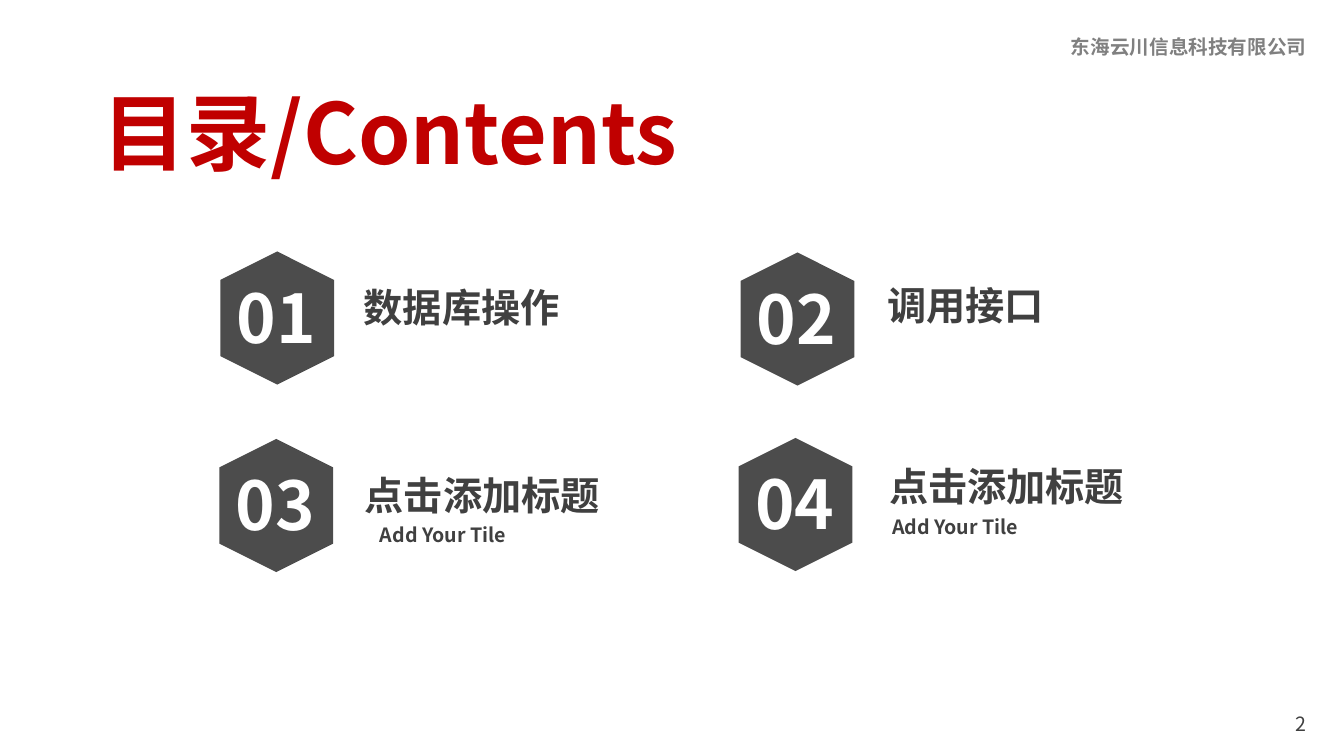
import pptx
import pptx.util
import pptx.dml.color
import pptx.enum.shapes
import pptx.enum.text
import pptx.oxml
import pptx.oxml.ns
from pptx.util import Inches

RED = pptx.dml.color.RGBColor(0xC0, 0x00, 0x00)
DARK = pptx.dml.color.RGBColor(0x40, 0x40, 0x40)
GRAY = pptx.dml.color.RGBColor(0x80, 0x80, 0x80)
BLACK = pptx.dml.color.RGBColor(0x00, 0x00, 0x00)
WHITE = pptx.dml.color.RGBColor(0xFF, 0xFF, 0xFF)
FONT = "Noto Sans CJK SC"
ALIGN = pptx.enum.text.PP_ALIGN
ANCHOR = pptx.enum.text.MSO_ANCHOR
AUTO_SIZE = pptx.enum.text.MSO_AUTO_SIZE


class ContentsPage:
    def __init__(self, deck):
        self.page = deck.slides.add_slide(deck.slide_layouts[6])

    def text(self, words, left, top, width, height, size, color,
             bold=True, align=ALIGN.LEFT, anchor=ANCHOR.TOP, wrap=False, grow=True):
        box = self.page.shapes.add_textbox(
            Inches(left), Inches(top), Inches(width), Inches(height))
        frame = box.text_frame
        frame.word_wrap = wrap
        frame.auto_size = AUTO_SIZE.SHAPE_TO_FIT_TEXT if grow else AUTO_SIZE.NONE
        frame.vertical_anchor = anchor
        para = frame.paragraphs[0]
        para.text = words
        para.alignment = align
        font = para.font
        font.name = FONT
        font.size = pptx.util.Pt(size)
        font.bold = bold
        font.color.rgb = color
        properties = para._p.pPr.find(pptx.oxml.ns.qn("a:defRPr"))
        east_asian = pptx.oxml.parse_xml(
            f'<a:ea {pptx.oxml.ns.nsdecls("a")} typeface="{FONT}"/>')
        properties.find(pptx.oxml.ns.qn("a:latin")).addnext(east_asian)

    def hexagon(self, left, top):
        shape = self.page.shapes.add_shape(
            pptx.enum.shapes.MSO_SHAPE.HEXAGON,
            Inches(left), Inches(top), Inches(1.32), Inches(1.13))
        shape.rotation = 270
        shape.shadow.inherit = False
        shape.line.fill.background()
        shape.fill.solid()
        shape.fill.fore_color.rgb = BLACK
        color = shape.fill._xPr.find(".//" + pptx.oxml.ns.qn("a:srgbClr"))
        color.append(pptx.oxml.parse_xml(
            f'<a:alpha {pptx.oxml.ns.nsdecls("a")} val="70000"/>'))

    def entry(self, number, badge, title, title_at, title_width, subtitle_at=None):
        left, top = badge
        self.hexagon(left, top)
        self.text(number, left + 0.16, top + 0.1, 1.36, 1.4, 48, WHITE)
        self.text(title, *title_at, title_width, 0.57, 28, DARK)
        if subtitle_at:
            self.text("Add Your Tile", *subtitle_at, 1.47, 0.34, 14, DARK)


deck = pptx.Presentation()
deck.slide_width = Inches(13.33)
deck.slide_height = Inches(7.5)

contents = ContentsPage(deck)
contents.text("东海云川信息科技有限公司", 10.5, 0.3, 2.56, 0.34, 14, GRAY, align=ALIGN.RIGHT)
contents.text("目录/Contents", 0.92, 0.75, 6.76, 1.11, 60, RED, wrap=True)

entries = [
    ("01", (2.09, 2.59), "数据库操作", (3.51, 2.76), 2.14),
    ("02", (7.25, 2.6), "调用接口", (8.7, 2.74), 1.76),
    ("03", (2.08, 4.45), "点击添加标题", (3.52, 4.63), 2.56, (3.67, 5.14)),
    ("04", (7.23, 4.44), "点击添加标题", (8.72, 4.54), 2.56, (8.75, 5.06)),
]
for entry in entries:
    contents.entry(*entry)

contents.text("2", 10.06, 6.98, 3, 0.4, 14, DARK, bold=False,
              align=ALIGN.RIGHT, anchor=ANCHOR.MIDDLE, wrap=True, grow=False)

deck.save("out.pptx")
